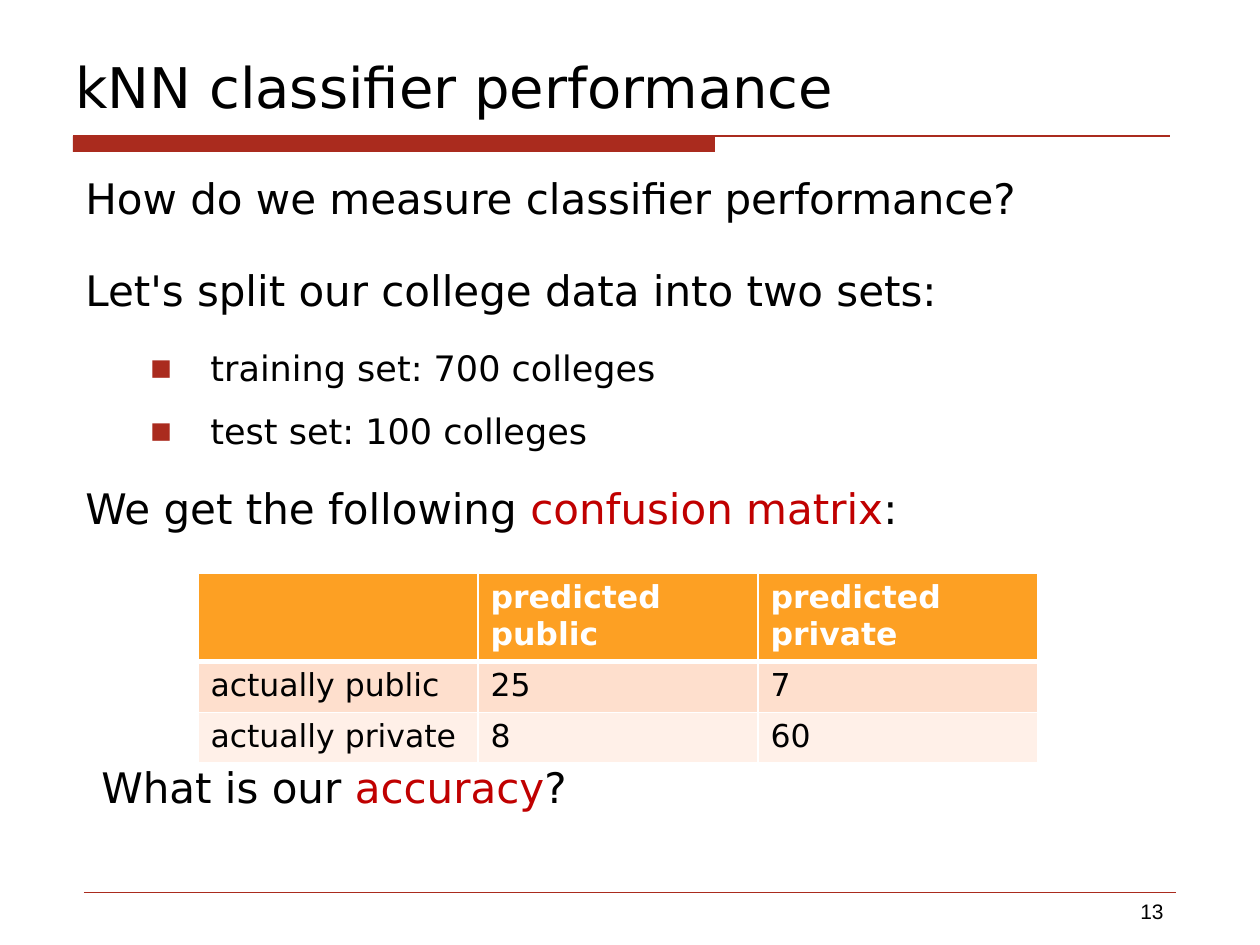
import pptx
import pptx.util
import pptx.dml.color
import pptx.enum.shapes
import pptx.enum.text
import pptx.oxml.ns
import lxml.etree

PX = 914400 // 126
FONT = "DejaVu Sans"
BLACK, WHITE, RED, ACCENT = "000000", "FFFFFF", "AA2B1E", "C00000"

# Text boxes: (left, top, width, height), anchor, paragraphs of (style, runs)
TEXTS = [
    ((63, 32, 1139, 94), "BOTTOM", [("title", [("kNN classifier performance", BLACK)])]),
    ((73, 166, 1050, 382), "TOP", [
        ("body", [("How do we measure classifier performance?", BLACK)]),
        ("body", [("Let's split our college data into two sets:", BLACK)]),
        ("bullet", [("training set: 700 colleges", BLACK)]),
        ("bullet", [("test set: 100 colleges", BLACK)]),
        ("body", [("We get the following ", BLACK), ("confusion matrix", ACCENT), (":", BLACK)]),
    ]),
    ((89, 755, 1050, 59), "TOP", [
        ("body", [("What is our ", BLACK), ("accuracy", ACCENT), ("?", BLACK)]),
    ]),
    ((903, 892, 273, 34), "TOP", [("number", [("13", BLACK)])]),
]
STYLES = {
    "title": {"size": 32, "gap": 0},
    "body": {"size": 24, "gap": 12},
    "bullet": {"size": 20, "gap": 6},
    "number": {"size": 12, "gap": 0, "font": "Arial", "align": "RIGHT"},
}
BULLET_INDENT, BULLET_HANG = 125, 60

MATRIX = [
    ["", "predicted public", "predicted private"],
    ["actually public", "25", "7"],
    ["actually private", "8", "60"],
]
MATRIX_AT = (198, 573)
COL_W, ROW_H = 280, 51
ROW_FILLS = ["FDA023", "FEDFCD", "FFF0E8"]

TITLE_BAR = (73, 136, 642, 16)
# Rules: x from, x to, y, width in points
RULES = [(73, 1170, 136, 0.75), (84, 1176, 892, 0.25)]


def px(*values):
    return [pptx.util.Emu(v * PX) for v in values]


def color(value):
    return pptx.dml.color.RGBColor.from_string(value)


def sub(parent, tag, **attrs):
    el = lxml.etree.SubElement(parent, pptx.oxml.ns.qn(tag))
    for name, value in attrs.items():
        el.set(name, str(value))
    return el


def add_run(p, text, hex_color, size, font=FONT, bold=False):
    r = p.add_run()
    r.text = text
    formats = {"size": pptx.util.Pt(size), "name": font, "bold": bold}
    for name, value in formats.items():
        setattr(r.font, name, value)
    r.font.color.rgb = color(hex_color)


def add_bullet(p):
    pPr = p._p.get_or_add_pPr()
    pPr.set("marL", str(BULLET_INDENT * PX))
    pPr.set("indent", str(-BULLET_HANG * PX))
    sub(sub(pPr, "a:buClr"), "a:srgbClr", val=RED)
    sub(pPr, "a:buSzPct", val=65000)
    sub(pPr, "a:buFont", typeface=FONT)
    sub(pPr, "a:buChar", char="■")


def add_text(slide, box, anchor, paragraphs):
    tf = slide.shapes.add_textbox(*px(*box)).text_frame
    tf.word_wrap = True
    tf.vertical_anchor = getattr(pptx.enum.text.MSO_ANCHOR, anchor)
    for i, (style_name, runs) in enumerate(paragraphs):
        style = STYLES[style_name]
        p = tf.paragraphs[0] if i == 0 else tf.add_paragraph()
        gap = pptx.util.Pt(style["gap"])
        align = getattr(pptx.enum.text.PP_ALIGN, style.get("align", "LEFT"))
        for name, value in {"space_before": gap, "space_after": gap, "alignment": align}.items():
            setattr(p, name, value)
        if style_name == "bullet":
            add_bullet(p)
        for text, hex_color in runs:
            add_run(p, text, hex_color, style["size"], style.get("font", FONT))


def add_rule(slide, x1, x2, y, width):
    line = slide.shapes.add_connector(
        pptx.enum.shapes.MSO_CONNECTOR.STRAIGHT, *px(x1, y, x2, y))
    line.line.color.rgb = color(RED)
    line.line.width = pptx.util.Pt(width)
    sub(line._element.spPr, "a:effectLst")


def add_borders(cell, row):
    """White borders, thicker between the header and the first data row."""
    widths = {"L": 1, "R": 1, "T": 3 if row == 1 else 1, "B": 3 if row == 0 else 1}
    tcPr = cell._tc.get_or_add_tcPr()
    for side, width in widths.items():
        ln = sub(tcPr, "a:ln" + side, w=pptx.util.Pt(width))
        sub(sub(ln, "a:solidFill"), "a:srgbClr", val=WHITE)


def add_matrix(slide):
    n_rows, n_cols = len(MATRIX), len(MATRIX[0])
    size = (n_cols * COL_W, n_rows * ROW_H)
    table = slide.shapes.add_table(n_rows, n_cols, *px(*MATRIX_AT, *size)).table
    for r, row in enumerate(MATRIX):
        for c, text in enumerate(row):
            cell = table.cell(r, c)
            add_borders(cell, r)
            cell.fill.solid()
            cell.fill.fore_color.rgb = color(ROW_FILLS[r])
            if text:
                header = r == 0
                add_run(cell.text_frame.paragraphs[0], text,
                        WHITE if header else BLACK, 18, bold=header)


def main():
    prs = pptx.Presentation()
    prs.slide_width, prs.slide_height = px(1260, 945)
    slide = prs.slides.add_slide(prs.slide_layouts[6])

    bar = slide.shapes.add_shape(pptx.enum.shapes.MSO_SHAPE.RECTANGLE, *px(*TITLE_BAR))
    bar.shadow.inherit = False
    bar.fill.solid()
    bar.fill.fore_color.rgb = color(RED)
    bar.line.fill.background()

    for rule in RULES:
        add_rule(slide, *rule)
    for text in TEXTS:
        add_text(slide, *text)
    add_matrix(slide)
    prs.save("out.pptx")


if __name__ == "__main__":
    main()
